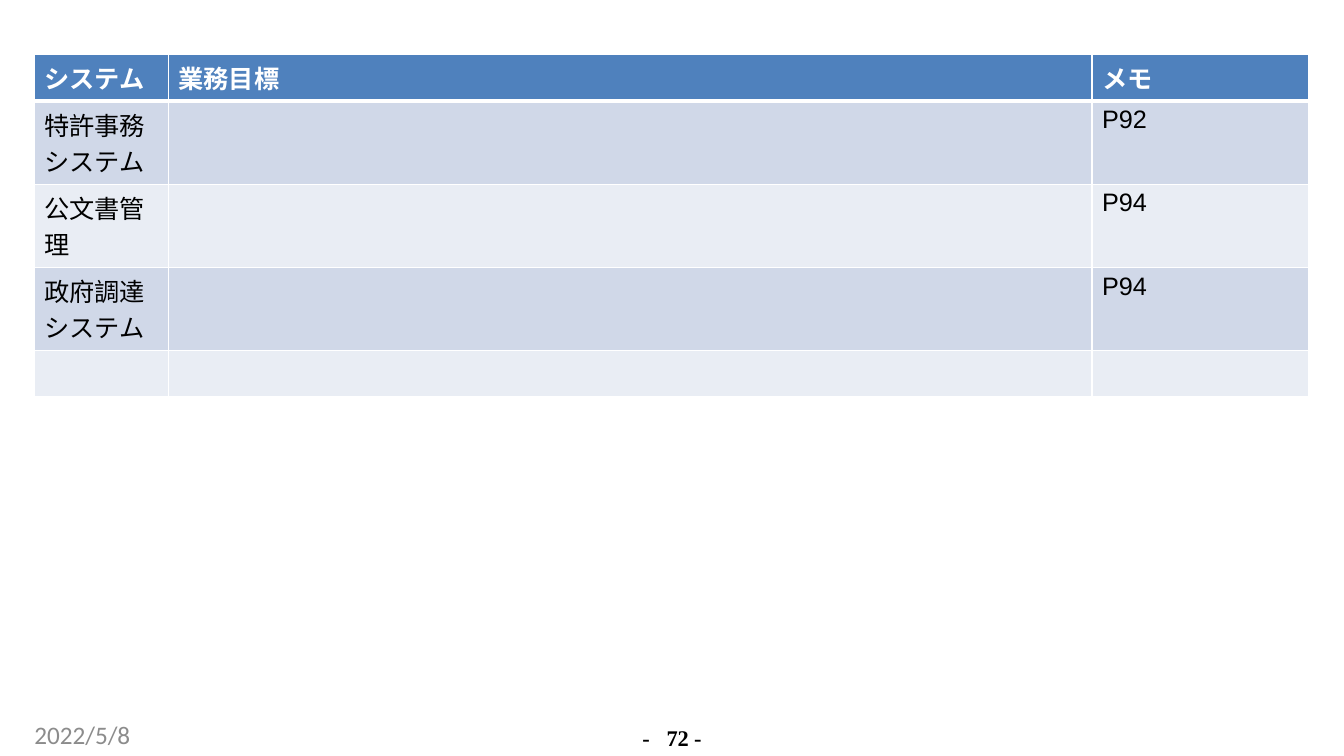
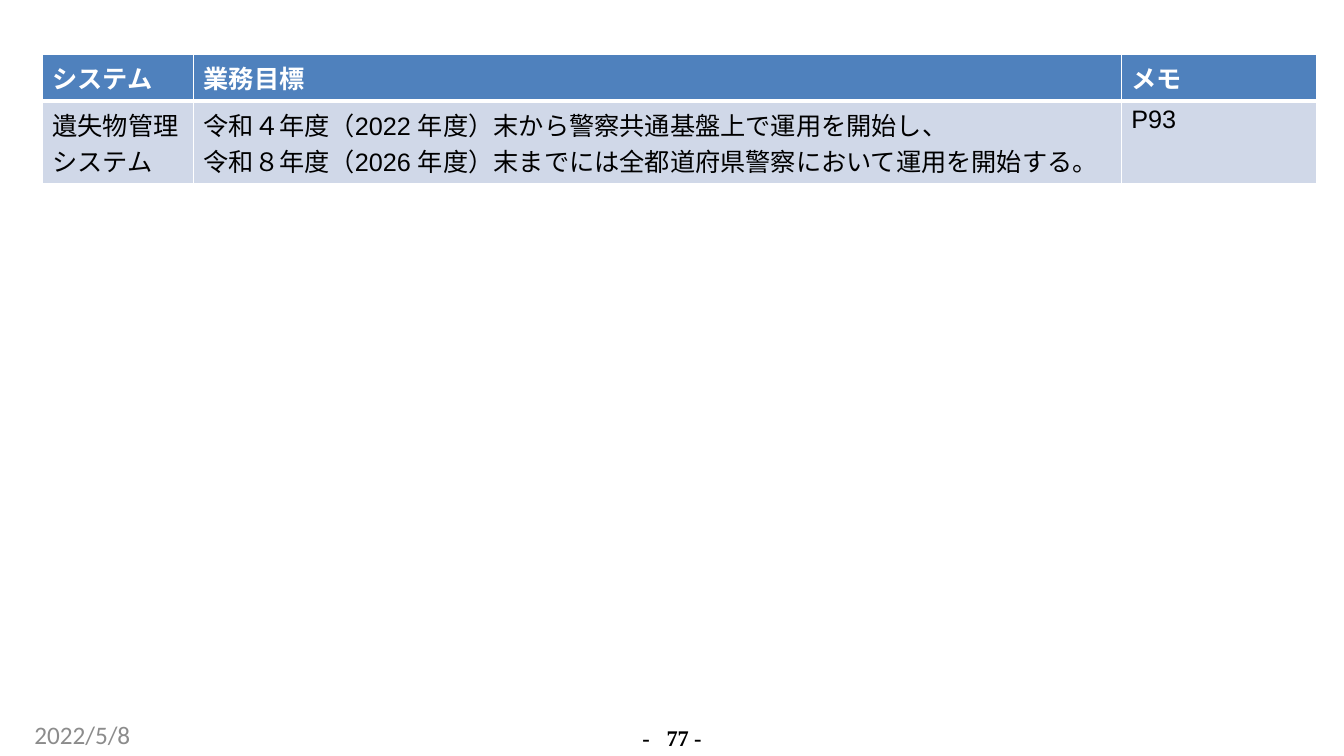
"""Build two slides of system goal tables with a shared date and page footer."""
from dataclasses import dataclass

from lxml.etree import SubElement
from pptx import Presentation
from pptx.dml.color import RGBColor as RGB
from pptx.enum.text import PP_ALIGN as AL
from pptx.oxml.ns import qn
from pptx.util import Inches, Pt


@dataclass(frozen=True)
class Theme:
    header: RGB = RGB.from_string("4F81BD")
    bands: tuple = (RGB.from_string("D0D8E8"), RGB.from_string("E9EDF4"))
    white: RGB = RGB.from_string("FFFFFF")
    black: RGB = RGB.from_string("000000")
    grey: RGB = RGB.from_string("8C8C8C")
    body_font: str = "Arial"
    asian_font: str = "Noto Sans CJK JP"
    date_font: str = "Calibri"
    page_font: str = "Times New Roman"
    body_size: int = 18
    page_size: int = 16


T = Theme()
HEADINGS = ["システム", "業務目標", "メモ"]
LINE_H, TWO_LINE_H = 0.46, 0.82
SLIDES = [
    dict(page=72, left=0.34, cols=[1.33, 9.16, 2.15], rows=[
        ["特許事務システム", "", "P92"],
        ["公文書管理", "", "P94"],
        ["政府調達システム", "", "P94"],
        ["", "", ""],
    ]),
    dict(page=77, left=0.42, cols=[1.5, 9.2, 1.94], rows=[
        ["遺失物管理システム",
         "令和４年度（2022 年度）末から警察共通基盤上で運用を開始し、\n"
         "令和８年度（2026 年度）末までには全都道府県警察において運用を開始する。",
         "P93"],
    ]),
]


def write(tf, text, font=T.body_font, size=T.body_size, color=T.black,
          bold=False, align=AL.LEFT, spacing=None):
    tf.word_wrap = True
    for i, line in enumerate(text.split("\n")):
        p = tf.paragraphs[0] if i == 0 else tf.add_paragraph()
        p.alignment = align
        if spacing:
            p.line_spacing = Pt(spacing)
        p.font.size = Pt(size)
        if not line:
            continue
        r = p.add_run()
        r.text = line
        f = r.font
        f.name, f.size, f.bold = font, Pt(size), bold
        f.color.rgb = color
        SubElement(r._r.get_or_add_rPr(), qn("a:ea"), typeface=T.asian_font)
    return tf.paragraphs[0]


def style_cell(cell, fill, top, bottom):
    tcPr = cell._tc.get_or_add_tcPr()
    for side, width in (("L", 1), ("R", 1), ("T", top), ("B", bottom)):
        ln = SubElement(tcPr, qn(f"a:ln{side}"), w=str(Pt(width)))
        solid = SubElement(ln, qn("a:solidFill"))
        SubElement(solid, qn("a:srgbClr"), val=str(T.white))
    cell.fill.solid()
    cell.fill.fore_color.rgb = fill


prs = Presentation()
prs.slide_width, prs.slide_height = Inches(13.33), Inches(7.5)

for data in SLIDES:
    s = prs.slides.add_slide(prs.slide_layouts[6])

    rows = [HEADINGS] + data["rows"]
    heights = [LINE_H] + [TWO_LINE_H if any(row) else LINE_H for row in data["rows"]]
    table = s.shapes.add_table(
        len(rows), len(HEADINGS), Inches(data["left"]), Inches(0.54),
        Inches(sum(data["cols"])), Inches(sum(heights))).table
    table.horz_banding = False
    for column, width in zip(table.columns, data["cols"]):
        column.width = Inches(width)
    for i, (row, height) in enumerate(zip(rows, heights)):
        table.rows[i].height = Inches(height)
        head = i == 0
        fill = T.header if head else T.bands[(i - 1) % 2]
        for j, text in enumerate(row):
            cell = table.cell(i, j)
            style_cell(cell, fill, top=3 if i == 1 else 1, bottom=3 if head else 1)
            write(cell.text_frame, text, bold=head, color=T.white if head else T.black)

    footers = [
        ((6.23, 7.19, 0.86, 0.25), f"-\t{data['page']} -",
         dict(font=T.page_font, size=T.page_size, bold=True, align=AL.CENTER, spacing=18.4)),
        ((0.34, 7.14, 3.07, 0.3), "2022/5/8", dict(font=T.date_font, color=T.grey)),
    ]
    for box, text, style in footers:
        tf = s.shapes.add_textbox(*map(Inches, box)).text_frame
        tf.margin_left = tf.margin_right = tf.margin_top = tf.margin_bottom = 0
        p = write(tf, text, **style)
        if "\t" in text:
            pPr = p._p.get_or_add_pPr()
            pPr.set("marL", str(Inches(0.01)))
            tabs = pPr.makeelement(qn("a:tabLst"))
            SubElement(tabs, qn("a:tab"), pos=str(Inches(0.24)), algn="l")
            pPr.find(qn("a:defRPr")).addprevious(tabs)
            p.runs[0].font._element.set("spc", "-10")

prs.save("out.pptx")
